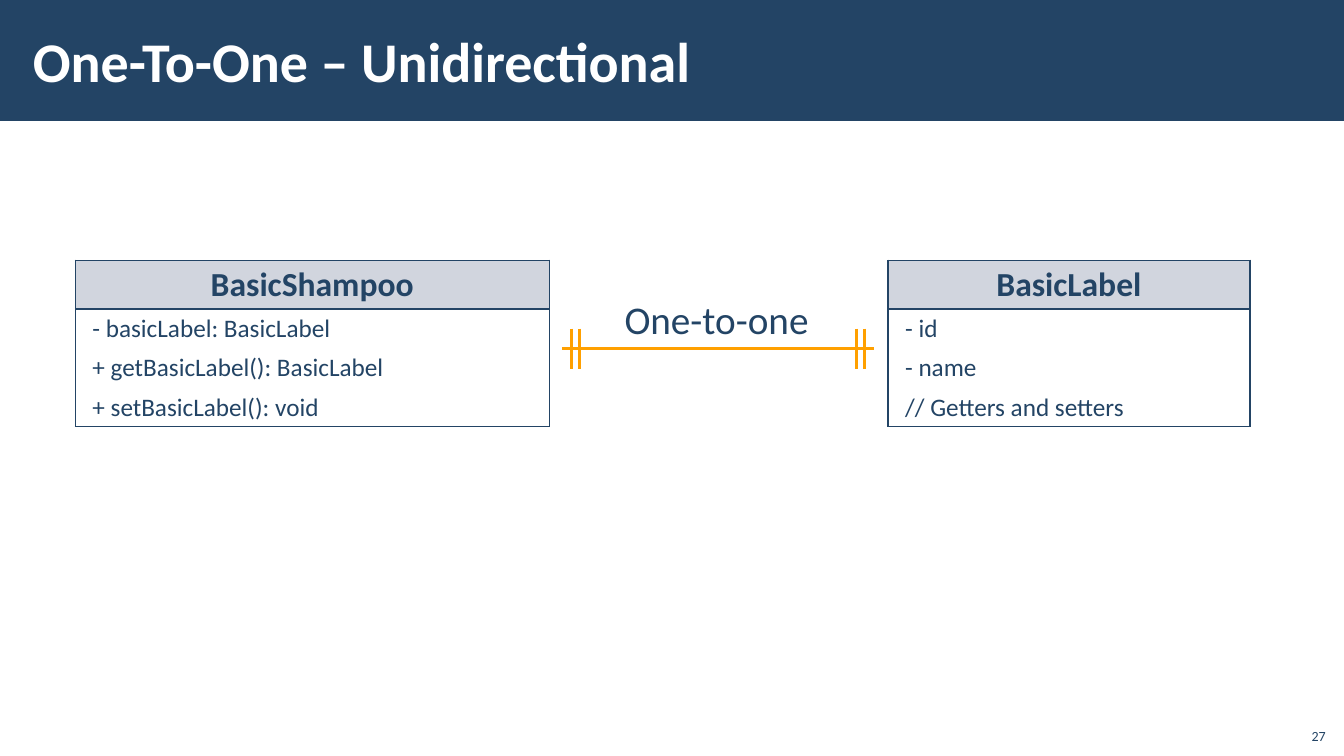
import pptx
import pptx.dml.color
import pptx.enum.shapes
import pptx.enum.text
import pptx.oxml
import pptx.oxml.ns
import pptx.util
from pptx.util import Cm

NAVY = pptx.dml.color.RGBColor(0x23, 0x44, 0x65)
WHITE = pptx.dml.color.RGBColor(0xFF, 0xFF, 0xFF)
AMBER = pptx.dml.color.RGBColor(0xFF, 0xA0, 0x00)
GREY = pptx.dml.color.RGBColor(0xD1, 0xD5, 0xDE)
ALIGN = pptx.enum.text.PP_ALIGN
ANCHOR = pptx.enum.text.MSO_ANCHOR


class Page:
    """Holds the style and the current slide."""
    font = "Calibri"

    def __init__(self, slide):
        self.shapes = slide.shapes

    def style(self, para, size, color=NAVY, bold=False, align=ALIGN.LEFT):
        para.alignment = align
        for run in para.runs:
            run.font.name = self.font
            run.font.size = pptx.util.Pt(size)
            run.font.bold = bold
            run.font.color.rgb = color

    def band(self, x, y, w, h, color):
        kind = pptx.enum.shapes.MSO_SHAPE.RECTANGLE
        box = self.shapes.add_shape(kind, Cm(x), Cm(y), Cm(w), Cm(h))
        box.shadow.inherit = False
        box.fill.solid()
        box.fill.fore_color.rgb = color
        box.line.fill.background()

    def text(self, words, x, y, w, h, size, anchor=ANCHOR.TOP, wrap=True,
             pad=0.25, **look):
        box = self.shapes.add_textbox(Cm(x), Cm(y), Cm(w), Cm(h))
        frame = box.text_frame
        frame.word_wrap = wrap
        frame.vertical_anchor = anchor
        frame.margin_left = frame.margin_right = Cm(pad)
        frame.text = words
        self.style(frame.paragraphs[0], size, **look)

    def line(self, x1, y1, x2, y2):
        kind = pptx.enum.shapes.MSO_CONNECTOR.STRAIGHT
        link = self.shapes.add_connector(kind, Cm(x1), Cm(y1), Cm(x2), Cm(y2))
        link.line.color.rgb = AMBER
        link.line.width = pptx.util.Pt(2)
        pptx.oxml.ns.qn("a:effectLst")
        props = link._element.spPr
        props.append(pptx.oxml.parse_xml(
            f'<a:effectLst {pptx.oxml.ns.nsdecls("a")}/>'))

    def cell(self, cell, words, size, fill, **look):
        cell.margin_left = cell.margin_right = Cm(0.43)
        cell.margin_top = cell.margin_bottom = Cm(0.13)
        cell.text_frame.text = words
        for i, para in enumerate(cell.text_frame.paragraphs):
            para.line_spacing = 0.95
            if i:
                para.space_before = pptx.util.Pt(0.4 * size)
            self.style(para, size, **look)
        # Borders come before the fill in the cell properties
        props = cell._tc.get_or_add_tcPr()
        for side in ("lnL", "lnR", "lnT", "lnB"):
            props.append(pptx.oxml.parse_xml(
                f'<a:{side} {pptx.oxml.ns.nsdecls("a")} w="12700"><a:solidFill>'
                f'<a:srgbClr val="{NAVY}"/></a:solidFill></a:{side}>'))
        cell.fill.solid()
        cell.fill.fore_color.rgb = fill

    def entity(self, name, items, x, y, w):
        rows = (1.2, 2.97)
        frame = self.shapes.add_table(2, 1, Cm(x), Cm(y), Cm(w), Cm(sum(rows)))
        table = frame.table
        for row, high in zip(table.rows, rows):
            row.height = Cm(high)
        self.cell(table.cell(0, 0), name, 24, GREY, bold=True,
                  align=ALIGN.CENTER)
        self.cell(table.cell(1, 0), "\n".join(items), 18, WHITE)


def main():
    deck = pptx.Presentation()
    deck.slide_width, deck.slide_height = Cm(33.87), Cm(19.05)
    page = Page(deck.slides.add_slide(deck.slide_layouts[6]))

    # Header
    page.band(0, 0, 33.87, 3.05, NAVY)
    page.text("One-To-One – Unidirectional", 0.53, 0.28, 27, 2.46, 40,
              anchor=ANCHOR.MIDDLE, pad=0.3, color=WHITE, bold=True)

    # Relation with a double tick at each end
    mid, tick = 8.79, 0.51
    page.line(14.17, mid, 22.02, mid)
    for x in (14.4, 14.6, 21.59, 21.79):
        page.line(x, mid - tick, x, mid + tick)
    page.text("One-to-one", 15.49, 7.32, 5.21, 1.45, 28, wrap=False)

    # Entities
    page.entity("BasicShampoo", ("- basicLabel: BasicLabel",
                                 "+ getBasicLabel(): BasicLabel",
                                 "+ setBasicLabel(): void"), 1.9, 6.56, 11.94)
    page.entity("BasicLabel", ("- id", "- name", "// Getters and setters"),
                22.38, 6.56, 9.12)

    # Slide number
    page.text("27", 32.64, 18.08, 1.02, 0.81, 10, anchor=ANCHOR.BOTTOM,
              align=ALIGN.RIGHT)
    deck.save("out.pptx")


if __name__ == "__main__":
    main()
